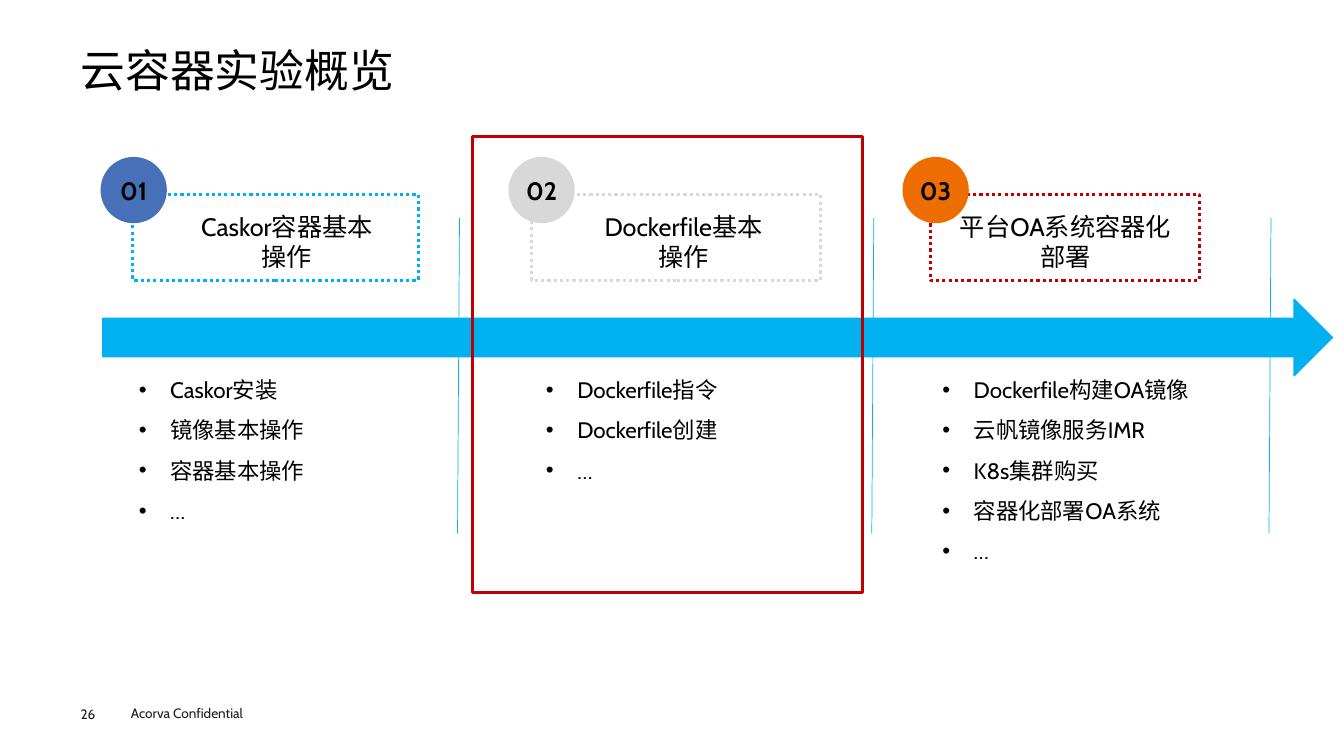
from lxml import etree
from pptx import Presentation
from pptx import util as u
from pptx.dml.color import RGBColor
from pptx.enum import dml, shapes, text
from pptx.oxml import ns

FONT = "Cabin"
COLORS = {"ink": "000000", "footer": "1D1D1B", "sky": "00B0F0", "grey": "D8D8D8",
          "red": "C00000", "blue": "4870B9", "orange": "ED6D00"}

# Lengths in cm; shifts are measured from the left edge of the column's frame.
STAGES = [
    dict(number="01", box=(3.35, 3.99, 7.19), frame="sky", badge="blue",
         badge_shift=-0.78, heading_shift=0.92, heading_width=5.92,
         list_shift=-0.1, list_width=7.37, divider_shift=8.23,
         heading=["Caskor容器基本", "操作"],
         items=["Caskor安装", "镜像基本操作", "容器基本操作", "…"]),
    dict(number="02", box=(13.39, 3.99, 7.29), frame="grey", badge="grey",
         badge_shift=-0.54, heading_shift=0.81, heading_width=6.05,
         list_shift=0.12, list_width=5.08, divider_shift=8.63,
         heading=["Dockerfile基本", "操作"],
         items=["Dockerfile指令", "Dockerfile创建", "…"]),
    dict(number="03", box=(23.44, 3.99, 6.78), frame="red", badge="orange",
         badge_shift=-0.66, heading_shift=0.44, heading_width=5.94,
         list_shift=0.06, list_width=7.06, divider_shift=8.59,
         heading=["平台OA系统容器化部署"],
         items=["Dockerfile构建OA镜像", "云帆镜像服务IMR", "K8s集群购买",
                "容器化部署OA系统", "…"]),
]


def rgb(name):
    return RGBColor.from_string(COLORS[name])


def cm(*lengths):
    return [u.Cm(length) for length in lengths]


def add_bullet(paragraph):
    properties = paragraph._p.get_or_add_pPr()
    properties.set("marL", str(u.Cm(0.79)))
    properties.set("indent", str(-u.Cm(0.79)))
    font = etree.SubElement(properties, ns.qn("a:buFont"))
    font.set("typeface", "Arial")
    etree.SubElement(properties, ns.qn("a:buChar")).set("char", "•")


def write(frame, lines, size, color="ink", align=None, bold=False,
          spacing=None, bullets=False, margins=True):
    frame.word_wrap = True
    if not margins:
        frame.margin_left = frame.margin_right = 0
        frame.margin_top = frame.margin_bottom = 0
    for index, line in enumerate(lines):
        paragraph = frame.paragraphs[0] if index == 0 else frame.add_paragraph()
        if bullets:
            add_bullet(paragraph)
        paragraph.alignment = align
        paragraph.line_spacing = spacing
        run = paragraph.add_run()
        run.text = line
        run.font.name = FONT
        run.font.size = u.Pt(size)
        run.font.bold = bold
        run.font.color.rgb = rgb(color)


def add_text(slide, box, lines, size, **style):
    write(slide.shapes.add_textbox(*cm(*box)).text_frame, lines, size, **style)


def add_shape(slide, kind, box, line, width, fill=None, dash=None):
    shape = slide.shapes.add_shape(kind, *cm(*box))
    shape.shadow.inherit = False
    if fill:
        shape.fill.solid()
        shape.fill.fore_color.rgb = rgb(fill)
    else:
        shape.fill.background()
    shape.line.color.rgb = rgb(line)
    shape.line.width = u.Pt(width)
    if dash:
        shape.line.dash_style = dash
    return shape


def add_divider(slide, x, top, bottom):
    divider = slide.shapes.add_connector(
        shapes.MSO_CONNECTOR.STRAIGHT, *cm(x, top, x - 0.05, bottom))
    divider.line.color.rgb = rgb("sky")
    divider.line.width = u.Pt(0.5)
    etree.SubElement(divider._element.spPr, ns.qn("a:effectLst"))


def add_stage(slide, stage):
    left, top, width = stage["box"]
    # Heading in its dotted frame
    add_shape(slide, shapes.MSO_SHAPE.RECTANGLE, (left, top + 0.91, width, 2.16),
              stage["frame"], 2.25, dash=dml.MSO_LINE.ROUND_DOT)
    add_text(slide, (left + stage["heading_shift"], top + 1.21,
                     stage["heading_width"], 1.8),
             stage["heading"], 18, align=text.PP_ALIGN.CENTER)
    # Divider to the right
    add_divider(slide, left + stage["divider_shift"], top + 1.5, top + 9.45)
    # Task list below the arrow
    add_text(slide, (left + stage["list_shift"], top + 5.03, stage["list_width"],
                     0.25 + 1.03 * len(stage["items"])),
             stage["items"], 16, spacing=1.5, bullets=True)
    # Numbered badge
    badge = add_shape(slide, shapes.MSO_SHAPE.OVAL,
                      (left + stage["badge_shift"], top, 1.6, 1.6),
                      stage["badge"], 2, fill=stage["badge"])
    badge.text_frame.vertical_anchor = text.MSO_ANCHOR.MIDDLE
    write(badge.text_frame, [stage["number"]], 18, bold=True,
          align=text.PP_ALIGN.CENTER, margins=False)


def add_timeline(slide, box):
    add_shape(slide, shapes.MSO_SHAPE.RIGHT_ARROW, box, "sky", 1, fill="sky")


def add_highlight(slide, box):
    add_shape(slide, shapes.MSO_SHAPE.RECTANGLE, box, "red", 2.25)


def add_title(slide, box):
    add_text(slide, box, ["云容器实验概览"], 32, spacing=0.9, margins=False)


def add_footer(slide, box):
    left, top, width = box
    add_text(slide, (left, top + 0.13, 1.4, 0.41), ["26"], 9.7,
             color="footer", margins=False)
    add_text(slide, (left + 1.02, top, width - 1.02, 0.69),
             ["Acorva Confidential"], 9.7, color="footer")


def main():
    presentation = Presentation()
    presentation.slide_width, presentation.slide_height = cm(33.87, 19.05)
    slide = presentation.slides.add_slide(presentation.slide_layouts[6])
    add_title(slide, (2.03, 1.24, 29.79, 1.37))
    for stage in STAGES:
        add_stage(slide, stage)
    add_timeline(slide, (2.59, 7.54, 30.99, 1.93))
    add_highlight(slide, (11.91, 3.45, 9.83, 11.48))
    add_footer(slide, (2.03, 17.65, 5.08))
    presentation.save("out.pptx")


if __name__ == "__main__":
    main()
